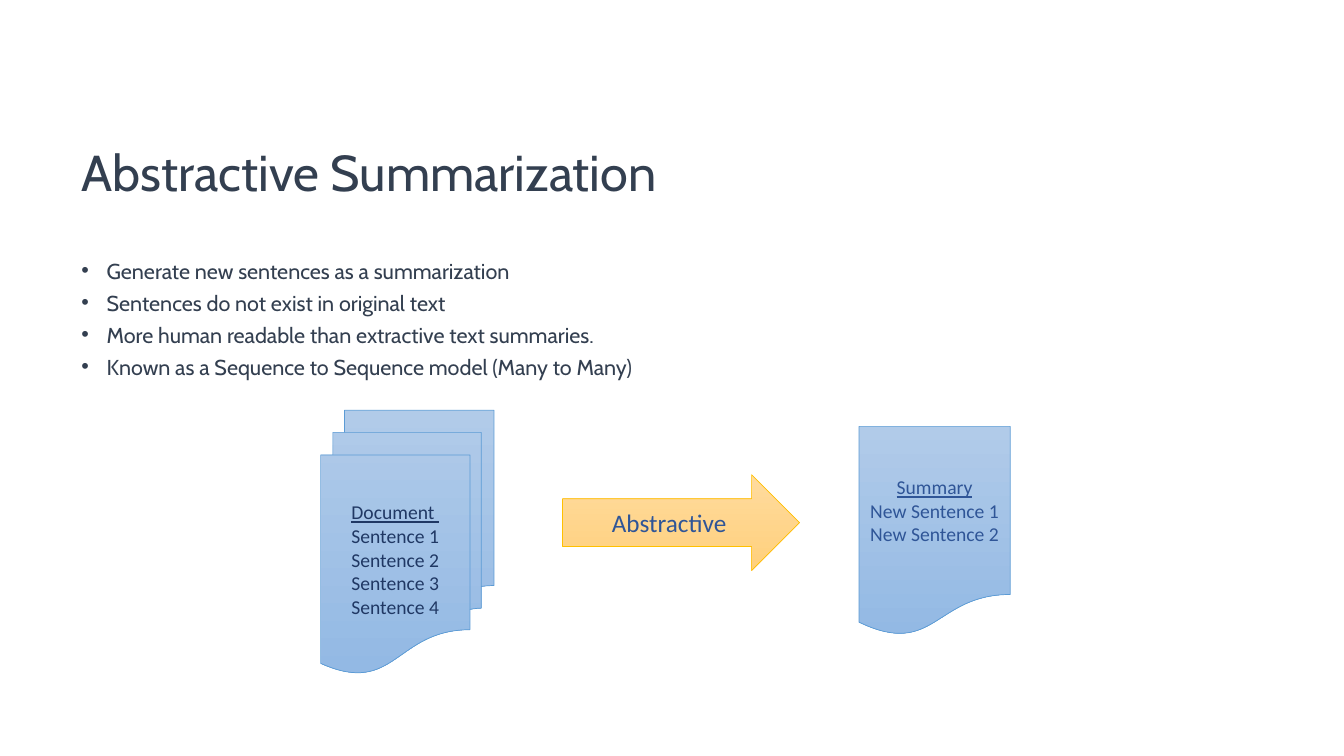
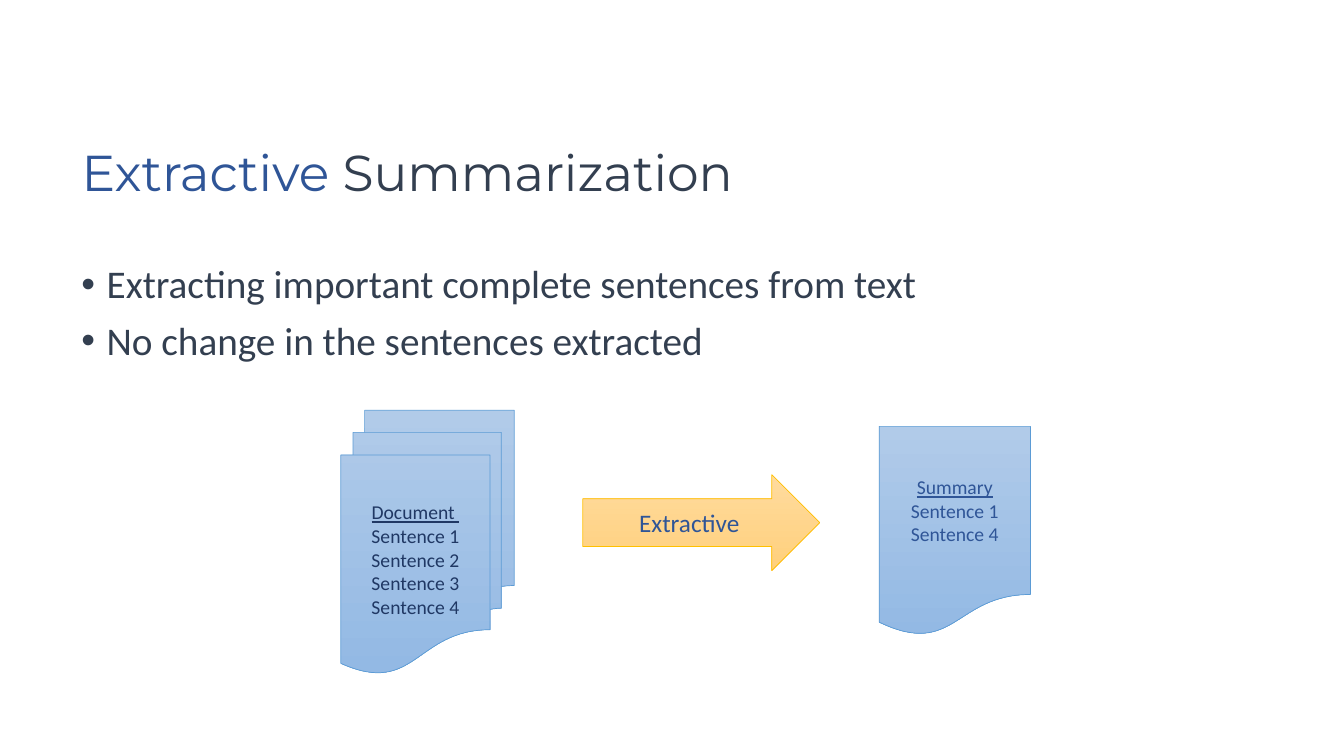
from lxml import etree
from pptx import Presentation
from pptx.dml.color import RGBColor
from pptx.enum import shapes, text
from pptx.oxml import ns
from pptx.util import Inches, Pt

SLATE, NAVY, BLUE = "333F50", "203864", "2F5597"
PAPER = {"gradient": ("B1CBE9", "93B9E4"), "outline": "5B9BD5"}
GOLD = {"gradient": ("FFDB9E", "FFD07C"), "outline": "FFC000"}
SOURCE_LINES = ["Document ", "Sentence 1", "Sentence 2", "Sentence 3", "Sentence 4"]

SLIDES = [
    {
        "title": [("Abstractive", SLATE), (" Summarization", SLATE)],
        "title_font": "Cabin",
        "bullets": [
            "Generate new sentences as a summarization",
            "Sentences do not exist in original text",
            "More human readable than extractive text summaries.",
            "Known as a Sequence to Sequence model (Many to Many)",
        ],
        "bullet_format": {"font": "Cabin", "size": 15.4, "color": SLATE},
        "bullet_spacing": 0.7,
        "diagram_left": 3.18,
        "method": "Abstractive",
        "summary": ["Summary", "New Sentence 1", "New Sentence 2"],
    },
    {
        "title": [("Extractive", BLUE), (" Summarization", SLATE)],
        "title_font": "Montserrat",
        "bullets": [
            "Extracting important complete sentences from text",
            "No change in the sentences extracted",
        ],
        "bullet_format": {"font": "Calibri", "size": 28, "color": SLATE},
        "bullet_spacing": 0.9,
        "diagram_left": 3.38,
        "method": "Extractive",
        "summary": ["Summary", "Sentence 1", "Sentence 4"],
    },
]


def add_run(paragraph, words, font="Calibri", size=14, color=SLATE, underline=None):
    run = paragraph.add_run()
    run.text = words
    run.font.name = font
    run.font.size = Pt(size)
    run.font.color.rgb = RGBColor.from_string(color)
    run.font.underline = underline


def add_diagram_shape(slide, kind, box, lines, style, size=14, color=BLUE):
    """Add a gradient shape with centred lines; the first of several is a heading."""
    shape = slide.shapes.add_shape(kind, *map(Inches, box))
    shape.shadow.inherit = False
    shape.fill.gradient()
    shape.fill.gradient_angle = 270
    for stop, position, stop_color in zip(shape.fill.gradient_stops, (0, 1), style["gradient"]):
        stop.position = position
        stop.color.rgb = RGBColor.from_string(stop_color)
    shape.line.color.rgb = RGBColor.from_string(style["outline"])
    shape.line.width = Pt(0.5)
    frame = shape.text_frame
    frame.vertical_anchor = text.MSO_ANCHOR.MIDDLE
    for index, line in enumerate(lines):
        paragraph = frame.add_paragraph() if index else frame.paragraphs[0]
        paragraph.alignment = text.PP_ALIGN.CENTER
        is_heading = index == 0 and len(lines) > 1
        add_run(paragraph, line, size=size, color=color, underline=is_heading)


presentation = Presentation()
presentation.slide_width = Inches(13.33)
presentation.slide_height = Inches(7.5)
title_only = presentation.slide_layouts[5]

for content in SLIDES:
    slide = presentation.slides.add_slide(title_only)

    title = slide.shapes.title
    title.left, title.top, title.width, title.height = map(Inches, (0.71, 0.82, 7.77, 1.83))
    title.text_frame.auto_size = text.MSO_AUTO_SIZE.NONE
    title.text_frame.vertical_anchor = text.MSO_ANCHOR.MIDDLE
    paragraph = title.text_frame.paragraphs[0]
    paragraph.alignment = text.PP_ALIGN.LEFT
    paragraph.line_spacing = 0.9
    for words, color in content["title"]:
        add_run(paragraph, words, font=content["title_font"], size=36, color=color)

    body = slide.shapes.add_textbox(*map(Inches, (0.71, 2.58, 11.5, 1.24))).text_frame
    body.word_wrap = True
    for index, bullet in enumerate(content["bullets"]):
        paragraph = body.add_paragraph() if index else body.paragraphs[0]
        paragraph.line_spacing = content["bullet_spacing"]
        paragraph.space_before = Pt(10)
        add_run(paragraph, bullet, **content["bullet_format"])
        properties = paragraph._p.get_or_add_pPr()
        properties.set("marL", str(Inches(0.25)))
        properties.set("indent", str(Inches(-0.25)))
        etree.SubElement(properties, ns.qn("a:buFont")).set("typeface", "Arial")
        etree.SubElement(properties, ns.qn("a:buChar")).set("char", "•")

    left = content["diagram_left"]
    add_diagram_shape(slide, shapes.MSO_SHAPE.FLOWCHART_MULTIDOCUMENT,
                      (left, 4.07, 1.72, 2.61), SOURCE_LINES, PAPER, color=NAVY)
    add_diagram_shape(slide, shapes.MSO_SHAPE.RIGHT_ARROW,
                      (left + 2.4, 4.71, 2.35, 0.95), [content["method"]], GOLD, size=18)
    add_diagram_shape(slide, shapes.MSO_SHAPE.FLOWCHART_DOCUMENT,
                      (left + 5.34, 4.23, 1.5, 2.08), content["summary"], PAPER)

presentation.save("out.pptx")
